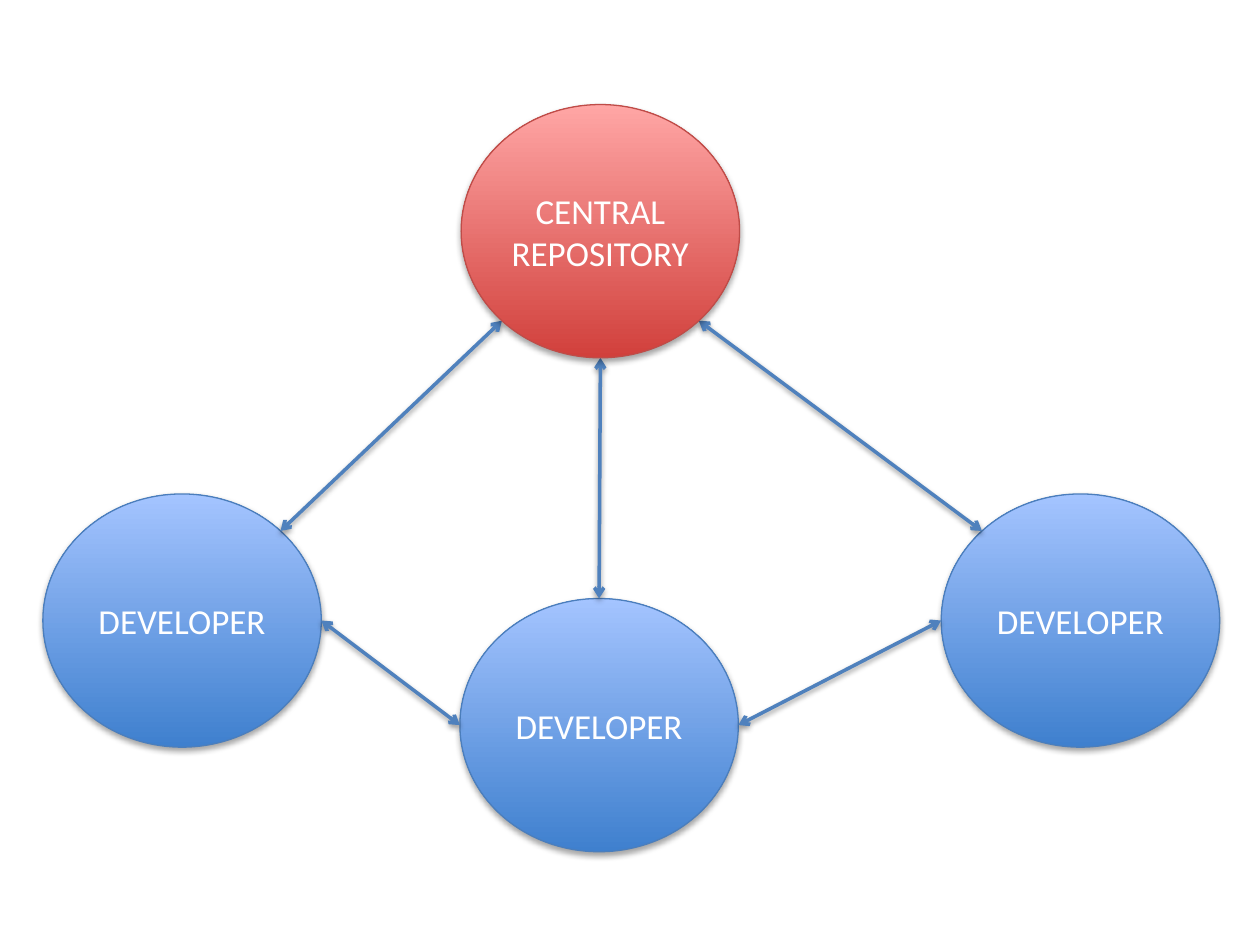
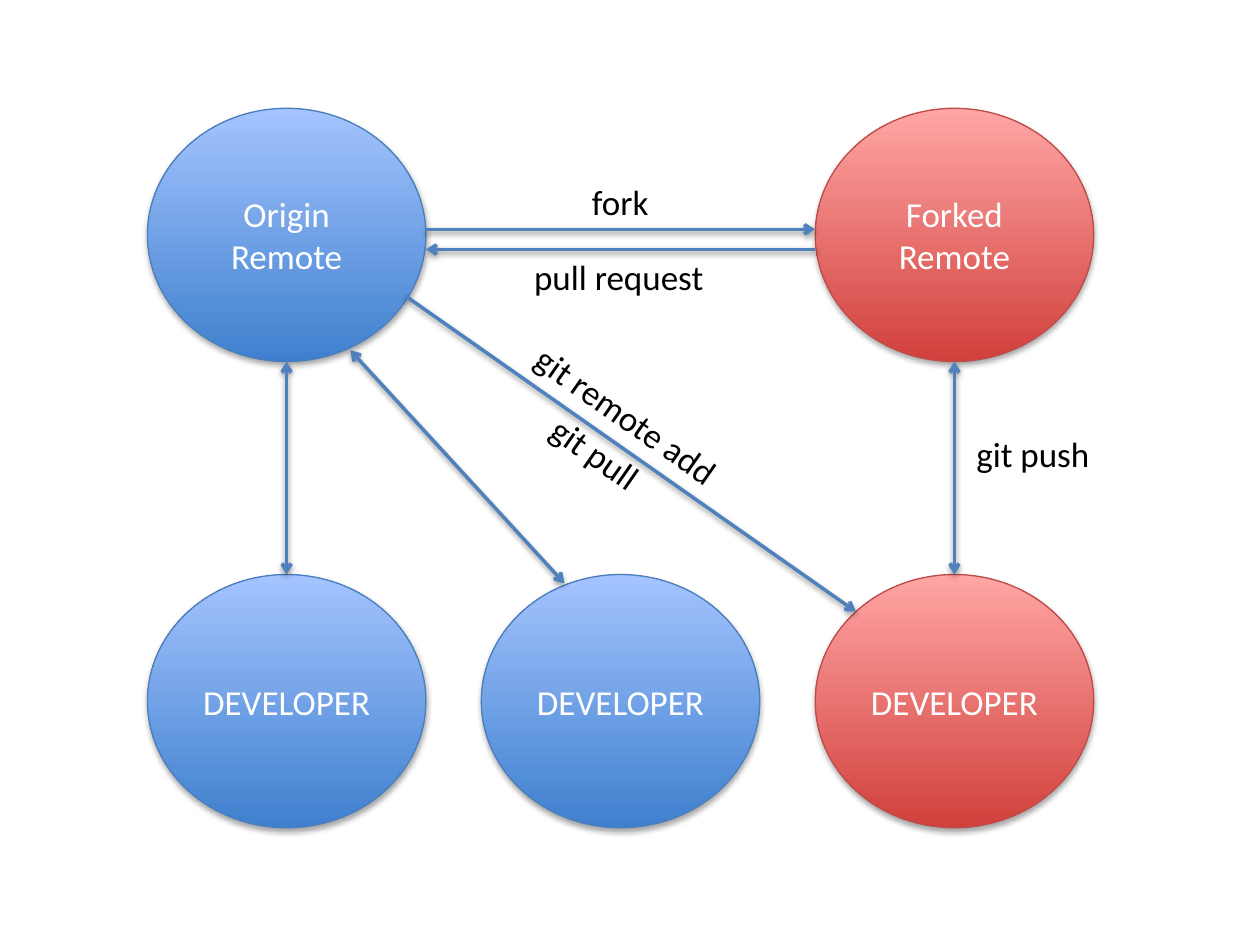
from math import cos, radians, sin

from lxml import etree
from pptx import Presentation
from pptx.dml.color import RGBColor
from pptx.enum.shapes import MSO_CONNECTOR, MSO_SHAPE
from pptx.enum.text import MSO_ANCHOR, MSO_AUTO_SIZE, PP_ALIGN
from pptx.oxml.ns import qn
from pptx.util import Inches, Pt

OVAL = MSO_SHAPE.OVAL
STRAIGHT = MSO_CONNECTOR.STRAIGHT
MIDDLE = MSO_ANCHOR.MIDDLE
CENTER = PP_ALIGN.CENTER
LEFT = PP_ALIGN.LEFT
FIT = MSO_AUTO_SIZE.SHAPE_TO_FIT_TEXT

# Shared look: gradient bottom, gradient top, outline
BLUE = ("3F80CE", "A4C4FF", "4B7EBC")
RED = ("D1403C", "FFA6A5", "BF4C48")
ARROW, WHITE, BLACK = "4F81BD", "FFFFFF", "000000"
FONT = {"name": "Calibri", "size": Pt(20)}
WIDE, HIGH = 2.21, 2.01

# Connection sites of a circle, in degrees clockwise from the right
EAST, SOUTHEAST, SOUTH, SOUTHWEST = 0, 45, 90, 135
WEST, NORTHWEST, NORTH, NORTHEAST = 180, 225, 270, 315


def color(code):
    return RGBColor.from_string(code)


def apply(target, values):
    for name, value in values.items():
        setattr(target, name, value)


def shade(shape, alpha, drop):
    """Give a shape or connector a soft shadow straight below it."""
    props = shape.element.spPr
    effects = props.find(qn("a:effectLst"))
    if effects is None:
        effects = etree.SubElement(props, qn("a:effectLst"))
    shadow = etree.SubElement(
        effects, qn("a:outerShdw"), blurRad=str(Pt(3.15)),
        dist=str(Pt(drop)), dir="5400000", rotWithShape="0")
    tint = etree.SubElement(shadow, qn("a:srgbClr"), val=BLACK)
    etree.SubElement(tint, qn("a:alpha"), val=str(alpha * 1000))


def write(frame, text, ink, align):
    """Write one paragraph for each line of text."""
    for index, words in enumerate(text.split("\n")):
        para = frame.add_paragraph() if index else frame.paragraphs[0]
        para.alignment = align
        run = para.add_run()
        run.text = words
        apply(run.font, FONT)
        run.font.color.rgb = color(ink)


def circle(slide, spot, text, theme, **frame):
    left, top = spot
    shape = slide.shapes.add_shape(
        OVAL, Inches(left), Inches(top), Inches(WIDE), Inches(HIGH))
    low, high, edge = theme
    shape.fill.gradient()
    shape.fill.gradient_angle = 90
    for stop, code in zip(shape.fill.gradient_stops, (low, high)):
        stop.color.rgb = color(code)
    shape.line.color.rgb = color(edge)
    shape.line.width = Pt(0.75)
    shape.shadow.inherit = False
    shade(shape, 35, 1.8)
    apply(shape.text_frame,
          {"vertical_anchor": MIDDLE, "word_wrap": True, **frame})
    write(shape.text_frame, text, WHITE, CENTER)


def site(spot, angle):
    """Point on the rim of the circle whose box starts at spot."""
    left, top = spot
    turn = radians(angle)
    return (left + WIDE / 2 * (1 + cos(turn)),
            top + HIGH / 2 * (1 + sin(turn)))


def arrow(slide, start, end, ends=("headEnd", "tailEnd")):
    line = slide.shapes.add_connector(
        STRAIGHT, *(Inches(value) for value in (*start, *end)))
    line.line.color.rgb = color(ARROW)
    line.line.width = Pt(2)
    stroke = line.element.spPr.find(qn("a:ln"))
    for name in ends:
        etree.SubElement(stroke, qn("a:" + name), type="arrow")
    shade(line, 38, 1.6)


def label(slide, left, top, width, text, turn=0):
    box = slide.shapes.add_textbox(
        Inches(left), Inches(top), Inches(width), Inches(0.44))
    box.rotation = turn
    apply(box.text_frame, {"word_wrap": False, "auto_size": FIT})
    write(box.text_frame, text, BLACK, LEFT)


def central(slide):
    """Three developers around one repository."""
    hub, west, mid, east = (3.66, 0.83), (0.34, 3.92), (3.65, 4.75), (7.47, 3.92)
    for spot in (west, mid, east):
        circle(slide, spot, "DEVELOPER", BLUE)
    arrow(slide, site(west, NORTHEAST), site(hub, SOUTHWEST))
    arrow(slide, site(hub, SOUTH), site(mid, NORTH))
    arrow(slide, site(hub, SOUTHEAST), site(east, NORTHWEST))
    circle(slide, hub, "CENTRAL\nREPOSITORY", RED,
           margin_left=0, margin_right=0)
    arrow(slide, site(west, EAST), site(mid, WEST))
    arrow(slide, site(mid, EAST), site(east, WEST))


def forked(slide):
    """Origin and fork above their developers, on a three-column grid."""
    cols = [1.17 + 2.65 * index for index in range(3)]
    upper, lower = 0.86, 4.56
    origin, fork = (cols[0], upper), (cols[2], upper)
    devs = [(left, lower) for left in cols]

    # Circles
    circle(slide, origin, "Origin\nRemote", BLUE)
    circle(slide, fork, "Forked\nRemote", RED)
    for spot, theme in zip(devs, (BLUE, BLUE, RED)):
        circle(slide, spot, "DEVELOPER", theme)

    # Links between remotes and developers
    arrow(slide, site(devs[0], NORTH), site(origin, SOUTH))
    arrow(slide, site(devs[2], NORTH), site(fork, SOUTH))
    arrow(slide, (4.48, 4.63), (2.78, 2.78))
    arrow(slide, site(devs[2], NORTHWEST), (3.22, 2.35), ["headEnd"])

    # Fork and pull request
    near, far = cols[0] + WIDE, cols[2]
    for level, end in ((1.82, "tailEnd"), (1.98, "headEnd")):
        arrow(slide, (near, level), (far, level), [end])

    # Labels
    label(slide, 4.6, 1.38, 0.66, "fork")
    label(slide, 4.14, 1.98, 1.56, "pull request")
    label(slide, 4.03, 3.1, 1.95, "git remote add", 35)
    label(slide, 4.24, 3.38, 0.98, "git pull", 35)
    label(slide, 7.65, 3.38, 1.11, "git push")


def main():
    deck = Presentation()
    apply(deck, {"slide_width": Inches(10), "slide_height": Inches(7.5)})
    for draw in (central, forked):
        draw(deck.slides.add_slide(deck.slide_layouts[6]))
    deck.save("out.pptx")


main()
